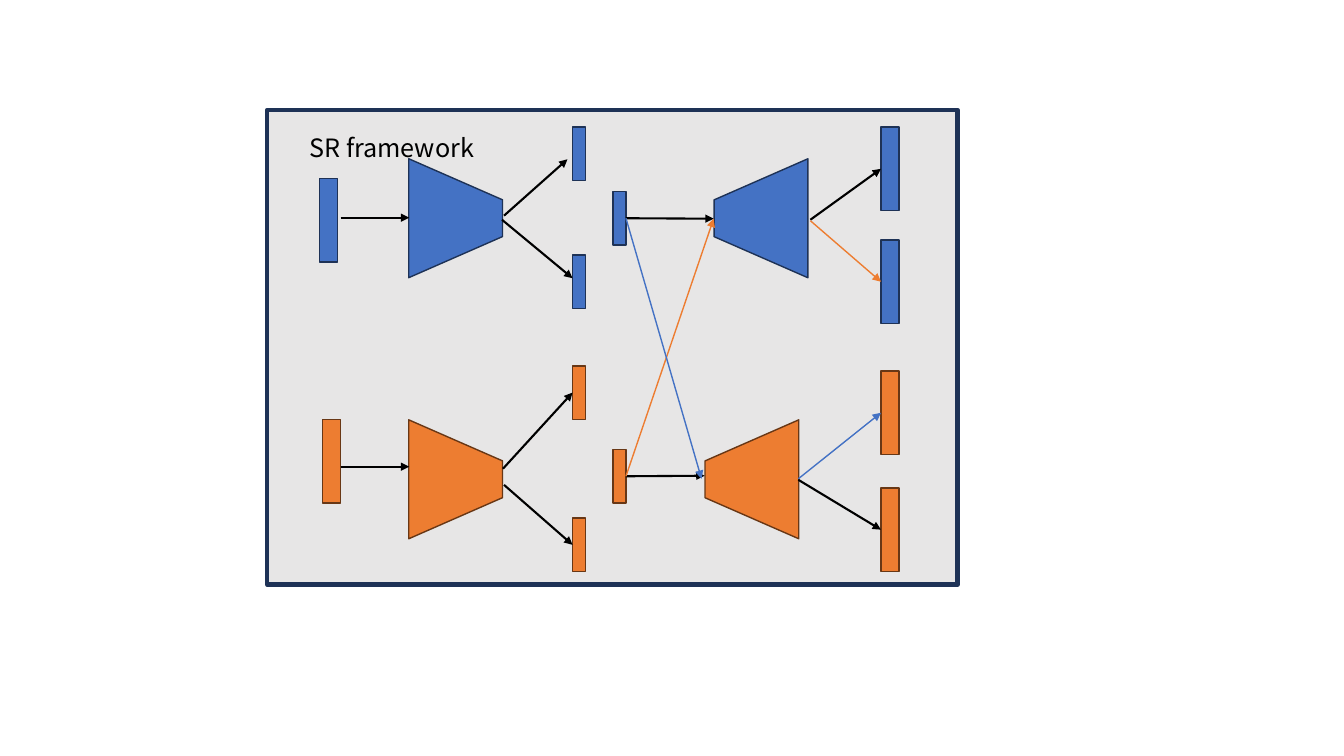
"""Draw the SR framework with its two crossed encoder and decoder lanes."""
from lxml import etree
from pptx import Presentation
from pptx import util as u
from pptx.enum import shapes, text
from pptx.dml.color import RGBColor
from pptx.oxml import ns

Pt = u.Pt
INK = {"blue": "4472C4", "navy": "1E3256", "orange": "ED7D31",
       "brown": "683715", "grey": "E7E6E6", "black": "000000"}
EDGE = {"blue": "navy", "orange": "brown", "grey": "navy"}
LARGE = (12.96, 59.76)
SMALL = (9.36, 38.16)
FUNNEL = (84.96, 66.96)
LEFT, RIGHT = 1, 3


def shade(name):
    return RGBColor.from_string(INK[name])


def block(slide, kind, left, top, size, fill, width=1):
    item = slide.shapes.add_shape(kind, Pt(left), Pt(top), *map(Pt, size))
    item.shadow.inherit = False
    item.fill.solid()
    item.fill.fore_color.rgb = shade(fill)
    item.line.color.rgb = shade(EDGE[fill])
    item.line.width = Pt(width)
    return item


def bar(slide, left, top, size, fill, width=1):
    return block(slide, shapes.MSO_SHAPE.RECTANGLE, left, top, size, fill, width)


def funnel(slide, left, top, fill, turn):
    item = block(slide, shapes.MSO_SHAPE.TRAPEZOID, left, top, FUNNEL, fill)
    item.adjustments[0] = 0.438
    item.rotation = turn


def arrow(slide, start, end, tint="black"):
    """Join points, or the right side of one bar to the left side of another."""
    first = start if isinstance(start, tuple) else (0, 0)
    last = end if isinstance(end, tuple) else (0, 0)
    line = slide.shapes.add_connector(
        shapes.MSO_CONNECTOR.STRAIGHT, *map(Pt, first + last))
    if first is not start:
        line.begin_connect(start, RIGHT)
    if last is not end:
        line.end_connect(end, LEFT)
    line.line.color.rgb = shade(tint)
    line.line.width = Pt(1.5 if tint == "black" else 1)
    etree.SubElement(line.line._get_or_add_ln(), ns.qn("a:tailEnd"), type="triangle")
    etree.SubElement(line._element.spPr, ns.qn("a:effectLst"))


def write(shape, words, size=18, tint="black", face="Noto Sans CJK SC"):
    frame = shape.text_frame
    frame.text = words
    frame.word_wrap = True
    frame.auto_size = text.MSO_AUTO_SIZE.SHAPE_TO_FIT_TEXT
    frame.vertical_anchor = text.MSO_ANCHOR.TOP
    para = frame.paragraphs[0]
    para.alignment = text.PP_ALIGN.LEFT
    para.space_before = Pt(0)
    font = para.runs[0].font
    font.name, font.size = face, Pt(size)
    font.color.rgb = shade(tint)


def label(slide, words, left, top, width, height):
    title = slide.shapes.title
    title.left, title.top, title.width, title.height = map(
        Pt, (left, top, width, height))
    write(title, words)
    tree = slide.shapes._spTree
    tree.remove(title._element)
    tree.append(title._element)


def main():
    deck = Presentation()
    deck.slide_width, deck.slide_height = Pt(960), Pt(540)
    slide = deck.slides.add_slide(deck.slide_layouts[5])

    bar(slide, 190.8, 78.48, (493.2, 339.12), "grey", 3)
    bar(slide, 228.24, 127.44, LARGE, "blue")
    bar(slide, 230.4, 299.52, LARGE, "orange")
    tints = ("blue", "blue", "orange", "orange")
    codes = [bar(slide, 408.96, top, SMALL, tint)
             for top, tint in zip((90.72, 182.16, 261.36, 370.08), tints)]
    outs = [bar(slide, 629.28, top, LARGE, tint)
            for top, tint in zip((90.72, 171.36, 264.96, 348.48), tints)]
    blue = bar(slide, 437.76, 136.8, SMALL, "blue")
    orange = bar(slide, 437.76, 321.12, SMALL, "orange")

    for left, top, tint, turn in (
            (282.96, 122.4, "blue", 90), (282.96, 308.88, "orange", 90),
            (494.64, 308.88, "orange", 270), (501.12, 122.4, "blue", 270)):
        funnel(slide, left, top, tint, turn)

    for start, end, tint in (
            ((243.36, 155.52), (292.32, 155.52), "black"),
            ((243.36, 333.36), (292.32, 333.36), "black"),
            ((360, 154.08), (405.36, 113.76), "black"),
            ((358.56, 156.96), (408.96, 198.72), "black"),
            ((359.28, 334.8), codes[2], "black"),
            ((360, 346.32), codes[3], "black"),
            (blue, (509.76, 156.24), "black"),
            (orange, (503.28, 339.84), "black"),
            (orange, (509.76, 156.24), "orange"),
            (blue, (501.12, 342), "blue"),
            ((578.88, 156.96), outs[0], "black"),
            ((578.88, 157.68), outs[1], "orange"),
            ((570.24, 342), outs[2], "blue"),
            ((570.24, 342.72), outs[3], "black")):
        arrow(slide, start, end, tint)

    label(slide, "SR framework", 213.84, 90.72, 139.68, 28.8)
    deck.save("out.pptx")


if __name__ == "__main__":
    main()
